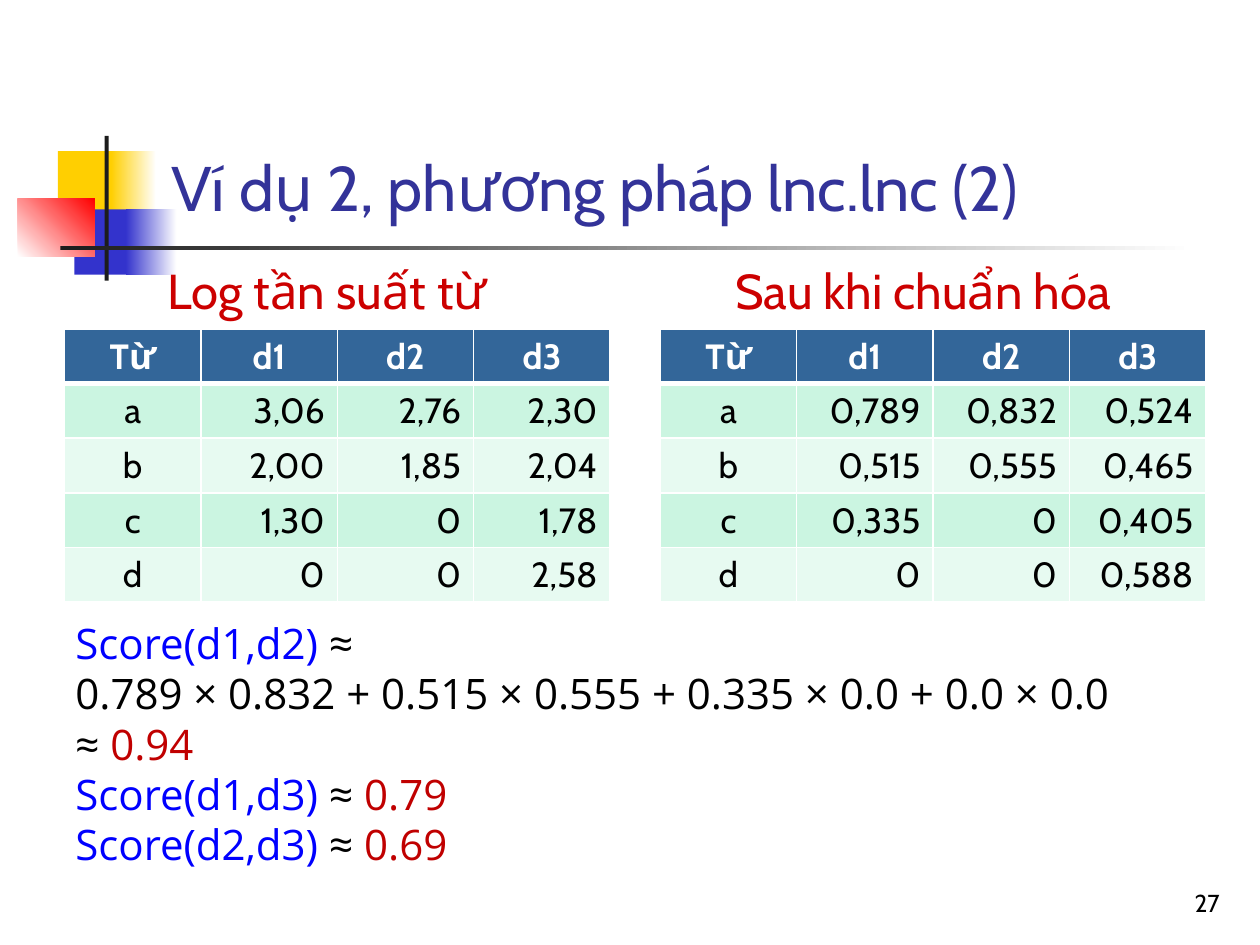
import pptx
import pptx.util
import pptx.dml.color
import pptx.enum.shapes
import pptx.enum.text
import pptx.oxml.ns
from lxml import etree

Cm = pptx.util.Cm
Pt = pptx.util.Pt
RGBColor = pptx.dml.color.RGBColor
Align = pptx.enum.text.PP_ALIGN
Anchor = pptx.enum.text.MSO_ANCHOR

WHITE = RGBColor(0xFF, 0xFF, 0xFF)
BLACK = RGBColor(0, 0, 0)
YELLOW = RGBColor(0xFF, 0xCF, 0x01)
INDIGO = RGBColor(0x33, 0x33, 0xCC)
RED = RGBColor(0xFF, 0, 0)
CHARCOAL = RGBColor(0x1C, 0x1C, 0x1C)
TITLE_BLUE = RGBColor(0x33, 0x33, 0x99)
HEADING_RED = RGBColor(0xCC, 0, 0)
SCORE_BLUE = RGBColor(0, 0, 0xFF)
RESULT_RED = RGBColor(0xC0, 0, 0)
HEADER_BLUE = RGBColor(0x33, 0x66, 0x99)
MINT = RGBColor(0xCB, 0xF5, 0xE1)
PALE_MINT = RGBColor(0xE7, 0xFA, 0xF1)

FONT = "Cabin"
SCORE_FONT = "Open Sans"
HEADER = ["Từ", "d1", "d2", "d3"]
LOG_ROWS = [
    ["a", "3,06", "2,76", "2,30"],
    ["b", "2,00", "1,85", "2,04"],
    ["c", "1,30", "0", "1,78"],
    ["d", "0", "0", "2,58"],
]
NORMALIZED_ROWS = [
    ["a", "0,789", "0,832", "0,524"],
    ["b", "0,515", "0,555", "0,465"],
    ["c", "0,335", "0", "0,405"],
    ["d", "0", "0", "0,588"],
]
SCORE_LINES = [
    [("Score(d1,d2) ", SCORE_BLUE), ("≈", BLACK)],
    [("0.789 × 0.832 + 0.515 × 0.555 + 0.335 × 0.0 + 0.0 × 0.0", BLACK)],
    [("≈ ", BLACK), ("0.94", RESULT_RED)],
    [("Score(d1,d3)", SCORE_BLUE), (" ≈ ", BLACK), ("0.79", RESULT_RED)],
    [("Score(d2,d3) ", SCORE_BLUE), ("≈ ", BLACK), ("0.69", RESULT_RED)],
]


def add_run(paragraph, text, size, color, font=FONT, bold=False):
    run = paragraph.add_run()
    run.text = text
    run.font.name = font
    run.font.size = Pt(size)
    run.font.bold = bold
    run.font.color.rgb = color


def add_text(slide, box, lines, size, font=FONT, align=Align.LEFT,
             anchor=Anchor.TOP, wrap=True):
    """Each line is a list of (text, color) runs."""
    frame = slide.shapes.add_textbox(*map(Cm, box)).text_frame
    frame.word_wrap = wrap
    frame.vertical_anchor = anchor
    for index, runs in enumerate(lines):
        paragraph = frame.add_paragraph() if index else frame.paragraphs[0]
        paragraph.alignment = align
        for text, color in runs:
            add_run(paragraph, text, size, color, font)


def add_block(slide, box, color, end_color=None, angle=0):
    shape = slide.shapes.add_shape(
        pptx.enum.shapes.MSO_SHAPE.RECTANGLE, *map(Cm, box))
    shape.shadow.inherit = False
    shape.line.fill.background()
    if end_color is None:
        shape.fill.solid()
        shape.fill.fore_color.rgb = color
        return
    shape.fill.gradient()
    shape.fill.gradient_angle = angle
    for stop, stop_color in zip(shape.fill.gradient_stops, (color, end_color)):
        stop.color.rgb = stop_color


def set_borders(cell, top, bottom):
    qn = pptx.oxml.ns.qn
    properties = cell._tc.get_or_add_tcPr()
    for side, width in (("L", 1), ("R", 1), ("T", top), ("B", bottom)):
        line = etree.SubElement(properties, qn("a:ln" + side), w=str(Pt(width)))
        fill = etree.SubElement(line, qn("a:solidFill"))
        etree.SubElement(fill, qn("a:srgbClr"), val=str(WHITE))


def add_term_table(slide, left, body):
    rows = [HEADER] + body
    row_height, column_width = 1.1, 2.75
    table = slide.shapes.add_table(
        len(rows), len(HEADER), Cm(left), Cm(6.63),
        Cm(column_width * len(HEADER)), Cm(row_height * len(rows))).table
    for column in table.columns:
        column.width = Cm(column_width)
    for row_index, values in enumerate(rows):
        table.rows[row_index].height = Cm(row_height)
        is_header = row_index == 0
        band = MINT if row_index % 2 else PALE_MINT
        for column_index, value in enumerate(values):
            cell = table.cell(row_index, column_index)
            set_borders(cell, top=3 if row_index == 1 else 1,
                        bottom=3 if is_header else 1)
            cell.fill.solid()
            cell.fill.fore_color.rgb = HEADER_BLUE if is_header else band
            paragraph = cell.text_frame.paragraphs[0]
            centred = is_header or column_index == 0
            paragraph.alignment = Align.CENTER if centred else Align.RIGHT
            add_run(paragraph, value, 20, WHITE if is_header else BLACK,
                    bold=is_header)


def add_decoration(slide):
    add_block(slide, (1.17, 3.05, 1.22, 1.32), YELLOW)
    add_block(slide, (2.24, 3.05, 0.91, 1.32), YELLOW, WHITE)
    add_block(slide, (1.5, 4.22, 1.17, 1.32), INDIGO)
    add_block(slide, (2.54, 4.22, 1.02, 1.32), INDIGO, WHITE)
    add_block(slide, (0.36, 4.01, 1.55, 1.17), WHITE, RED, angle=45)
    add_block(slide, (2.11, 2.74, 0.08, 2.92), CHARCOAL)
    add_block(slide, (1.22, 4.95, 22.86, 0.09), CHARCOAL, WHITE)


def main():
    presentation = pptx.Presentation()
    presentation.slide_width = Cm(25.4)
    presentation.slide_height = Cm(19.05)
    slide = presentation.slides.add_slide(presentation.slide_layouts[6])

    # Corner blocks and title
    add_decoration(slide)
    add_text(slide, (3.2, 0.58, 21.64, 4.06),
             [[("Ví dụ 2, phương pháp lnc.lnc (2)", TITLE_BLUE)]], 36,
             anchor=Anchor.BOTTOM)

    # Tables with their headings
    for left, heading, body in (
            (1.3, "Log tần suất từ", LOG_ROWS),
            (13.31, "Sau khi chuẩn hóa", NORMALIZED_ROWS)):
        add_term_table(slide, left, body)
        add_text(slide, (left, 5.13, 10.59, 1.45), [[(heading, HEADING_RED)]],
                 28, align=Align.CENTER)

    # Scores
    add_text(slide, (1.27, 12.32, 21.59, 5.38), SCORE_LINES, 24,
             font=SCORE_FONT, wrap=False)

    # Page number
    add_text(slide, (19.56, 17.35, 5.28, 1.27), [[("27", BLACK)]], 14,
             align=Align.RIGHT, anchor=Anchor.BOTTOM)

    presentation.save("out.pptx")


if __name__ == "__main__":
    main()
